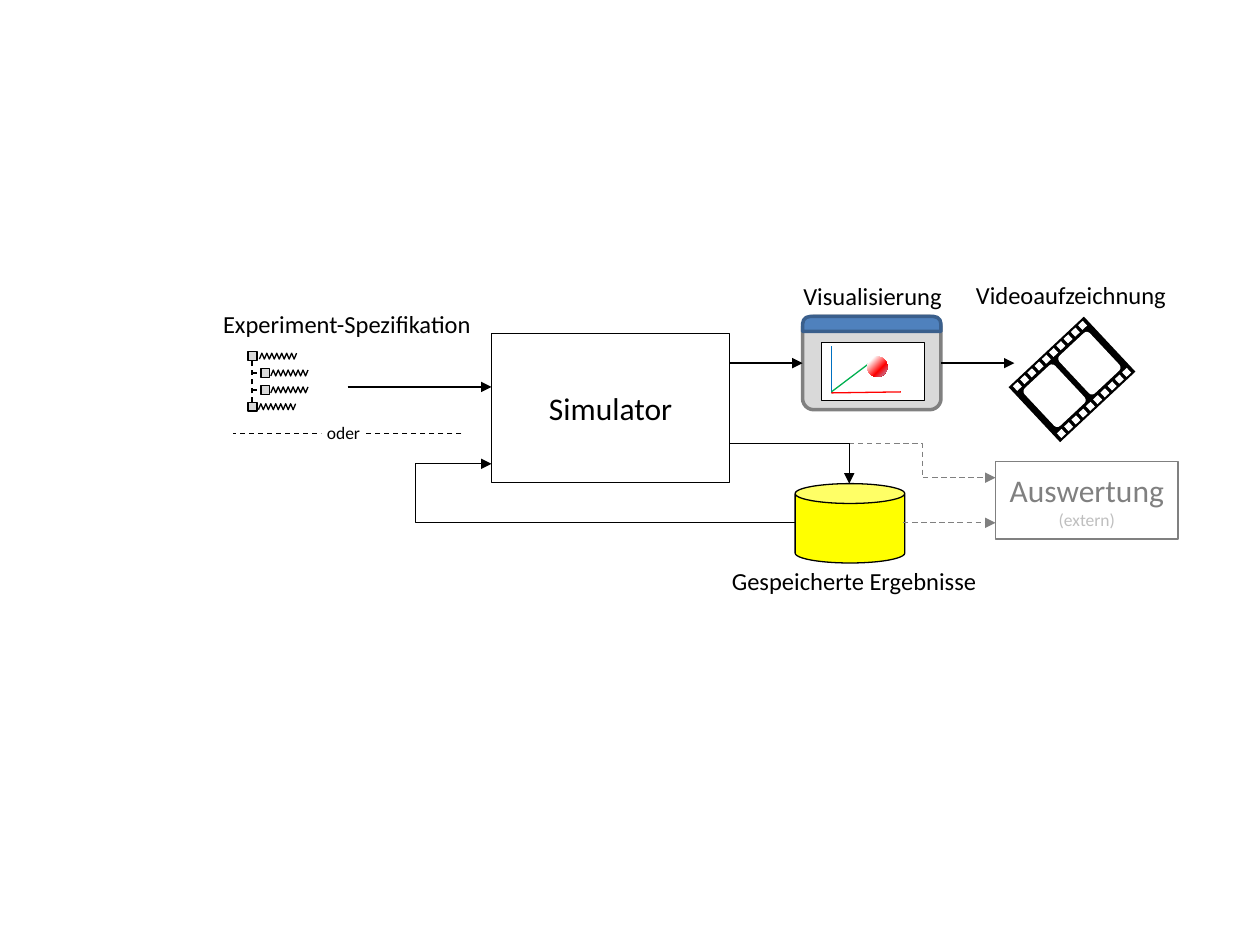
from copy import deepcopy
from math import cos, radians, sin

from pptx import Presentation
from pptx.dml.color import RGBColor
from pptx.enum.dml import MSO_LINE as Dash
from pptx.enum.shapes import MSO_CONNECTOR as Conn, MSO_SHAPE as Kind
from pptx.enum.text import MSO_ANCHOR as Anchor, MSO_AUTO_SIZE as Auto, PP_ALIGN as Align
from pptx.oxml.ns import qn
from pptx.oxml.xmlchemy import OxmlElement
from pptx.util import Cm, Pt

BLACK = RGBColor(0x00, 0x00, 0x00)
WHITE = RGBColor(0xFF, 0xFF, 0xFF)
GRAY = RGBColor(0x80, 0x80, 0x80)
PALE = RGBColor(0xBF, 0xBF, 0xBF)
LIGHT = RGBColor(0xD9, 0xD9, 0xD9)
YELLOW = RGBColor(0xFF, 0xFF, 0x00)
BLUE = RGBColor(0x4F, 0x81, 0xBD)
NAVY = RGBColor(0x3A, 0x5F, 0x8C)
AZURE = RGBColor(0x00, 0x70, 0xC0)
RED = RGBColor(0xFF, 0x00, 0x00)
GREEN = RGBColor(0x00, 0xB0, 0x50)
LILAC = RGBColor(0xB3, 0xA2, 0xC7)


def write(par, text, size=14, color=BLACK, font="Calibri"):
    """Put one formatted run into a centred paragraph."""
    par.alignment = Align.CENTER
    run = par.add_run()
    run.text = text
    run.font.size = Pt(size)
    run.font.name = font
    run.font.color.rgb = color


class Sketch:
    """Holds the line style and the slide (or group) being drawn on."""

    def __init__(self, slide, width=0.75):
        self.slide = slide
        self.width = width
        self.shapes = slide.shapes

    def group(self):
        self.shapes = self.slide.shapes.add_group_shape().shapes

    def leave(self):
        self.shapes = self.slide.shapes

    def stroke(self, line, color, width=None, dash=False):
        if color is None:
            line.fill.background()
            return
        line.color.rgb = color
        line.width = Pt(width or self.width)
        if dash:
            line.dash_style = Dash.DASH

    def box(self, x, y, w, h, fill=WHITE, edge=BLACK, kind=Kind.RECTANGLE,
            width=None, adj=(), turn=0):
        shape = self.shapes.add_shape(kind, Cm(x), Cm(y), Cm(w), Cm(h))
        shape.shadow.inherit = False
        shape.fill.solid()
        shape.fill.fore_color.rgb = fill
        self.stroke(shape.line, edge, width)
        for i, value in enumerate(adj):
            shape.adjustments[i] = value
        shape.rotation = turn
        shape.text_frame.vertical_anchor = Anchor.MIDDLE
        return shape

    def fit(self, frame, side=0):
        frame.margin_left = frame.margin_right = Cm(side)
        frame.margin_top = frame.margin_bottom = 0
        frame.vertical_anchor = Anchor.MIDDLE
        frame.word_wrap = False
        frame.auto_size = Auto.SHAPE_TO_FIT_TEXT

    def label(self, text, x, y, w, h=0.61):
        frame = self.shapes.add_textbox(Cm(x), Cm(y), Cm(w), Cm(h)).text_frame
        self.fit(frame)
        write(frame.paragraphs[0], text)

    def line(self, start, end, color=BLACK, dash=False, arrow=False, kind=Conn.STRAIGHT):
        link = self.shapes.add_connector(kind, *map(Cm, start + end))
        self.stroke(link.line, color, dash=dash)
        if arrow:
            tip = OxmlElement("a:tailEnd")
            tip.set("type", "triangle")
            link.line._get_or_add_ln().append(tip)
        link._element.spPr.append(OxmlElement("a:effectLst"))
        return link

    def bend(self, start, end, color=BLACK, dash=False, form="bentConnector3",
             adj=None, turn=0):
        link = self.line(start, end, color, dash, True, Conn.ELBOW)
        props = link._element.spPr
        geom = props.find(qn("a:prstGeom"))
        geom.set("prst", form)
        if adj is not None:
            guide = OxmlElement("a:gd")
            guide.set("name", "adj1")
            guide.set("fmla", f"val {round(adj * 100000)}")
            geom.get_or_add_avLst().append(guide)
        if turn:
            props.find(qn("a:xfrm")).set("rot", str(turn * 60000))

    def zigzag(self, x, y, step=0.05, high=0.12, count=16):
        points = [(Cm(x + i * step), Cm(y + high * (1 - i % 2))) for i in range(count)]
        pen = self.shapes.build_freeform(*points[0])
        pen.add_line_segments(points[1:], close=False)
        shape = pen.convert_to_shape()
        shape.shadow.inherit = False
        shape.fill.background()
        self.stroke(shape.line, BLACK)

    def ball(self, x, y, size, stops):
        shape = self.box(x, y, size, size, edge=None, kind=Kind.OVAL)
        shape.fill.gradient()
        shape.fill.gradient_angle = 315
        marks = shape._element.spPr.find(".//" + qn("a:gsLst"))
        while len(marks) < len(stops):
            marks.append(deepcopy(marks[0]))
        for mark, (place, color) in zip(shape.fill.gradient_stops, stops):
            mark.position = place
            mark.color.rgb = color


deck = Presentation()
deck.slide_width, deck.slide_height = Cm(25.4), Cm(19.05)
art = Sketch(deck.slides.add_slide(deck.slide_layouts[6]))

# Simulator and result store
sim = art.box(9.91, 6.73, 4.8, 3)
write(sim.text_frame.paragraphs[0], "Simulator", size=18)
art.line((9.3, 8.74), (4.7, 8.74), dash=True)
art.box(16.03, 9.75, 2.21, 1.6, YELLOW, kind=Kind.CAN)

# Experiment tree
art.group()
TOP, GAP, SIDE, TRUNK = 7.09, 0.34, 0.18, 5.08
for row, (left, wave) in enumerate([(5, 5.23), (5.26, 5.46), (5.26, 5.46), (5, 5.21)]):
    y = TOP + row * GAP
    art.box(left, y, SIDE, SIDE, LIGHT)
    art.zigzag(wave, y + 0.03)
    if left > TRUNK:
        art.line((TRUNK, y + SIDE / 2), (left, y + SIDE / 2), dash=True)
art.line((TRUNK, TOP + 3 * GAP), (TRUNK, TOP + SIDE), dash=True)
art.leave()

# Inputs
art.line((7.01, 7.8), (9.91, 7.8), arrow=True)
art.label("Experiment-Spezifikation", 4.47, 6.22, 5.05)
choice = art.box(6.48, 8.51, 0.89, 0.43, edge=None).text_frame
art.fit(choice, side=0.1)
write(choice.paragraphs[0], "oder", size=10)
art.label("Gespeicherte Ergebnisse", 14.73, 11.4, 4.98)
art.bend((9.91, 9.35), (16.03, 10.54), adj=1.25, turn=180)

# Window with plot
art.group()
art.box(16.18, 6.38, 2.79, 1.88, LIGHT, GRAY, Kind.ROUNDED_RECTANGLE, 2, (0.12,))
art.box(16.18, 6.38, 2.79, 0.3, BLUE, NAVY, Kind.ROUND_2_SAME_RECTANGLE, 2, (0.5, 0))
art.box(16.56, 6.91, 2.08, 1.17)
for start, end, color in [((16.76, 6.98), (16.76, 7.92), AZURE),
                          ((18.16, 7.9), (16.76, 7.92), RED),
                          ((17.7, 7.19), (16.76, 7.9), GREEN)]:
    art.line(start, end, color)
art.ball(17.48, 7.19, 0.41, [(0.19, WHITE), (0.64, RED), (1, LILAC)])
art.leave()
art.label("Visualisierung", 16.18, 5.66, 2.82)
art.line((14.71, 7.32), (16.18, 7.32), arrow=True)

# Film strip, laid out along its own tilted axes
TILT = 46.9
COS, SIN = cos(radians(TILT)), sin(radians(TILT))


def film(across, along, w, h, fill=WHITE, **form):
    x = 21.61 + across * COS - along * SIN
    y = 7.65 + across * SIN + along * COS
    art.box(x - w / 2, y - h / 2, w, h, fill, None, turn=TILT, **form)


art.group()
film(0, 0, 1.52, 2.08, BLACK)
for along in (-0.48, 0.48):
    film(0, along, 1.04, 0.84, kind=Kind.ROUNDED_RECTANGLE, adj=(0.1,))
for across in (-0.65, 0.65):
    for hole in range(10):
        film(across, (hole - 4.5) * 0.2, 0.13, 0.13)
art.leave()
art.label("Videoaufzeichnung", 19.66, 5.64, 3.86)
art.line((18.97, 7.32), (20.45, 7.32), arrow=True)

# External evaluation
art.line((18.21, 10.54), (20.07, 10.54), GRAY, dash=True, arrow=True)
study = art.box(20.07, 9.3, 3.68, 1.57, edge=GRAY).text_frame
write(study.paragraphs[0], "Auswertung", size=18, color=GRAY)
write(study.add_paragraph(), "(extern)", size=10, color=PALE)
art.bend((17.12, 8.94), (20.07, 9.63), GRAY, dash=True, adj=0.5)
art.bend((14.71, 8.94), (17.12, 9.75), form="bentConnector2")

deck.save("out.pptx")
